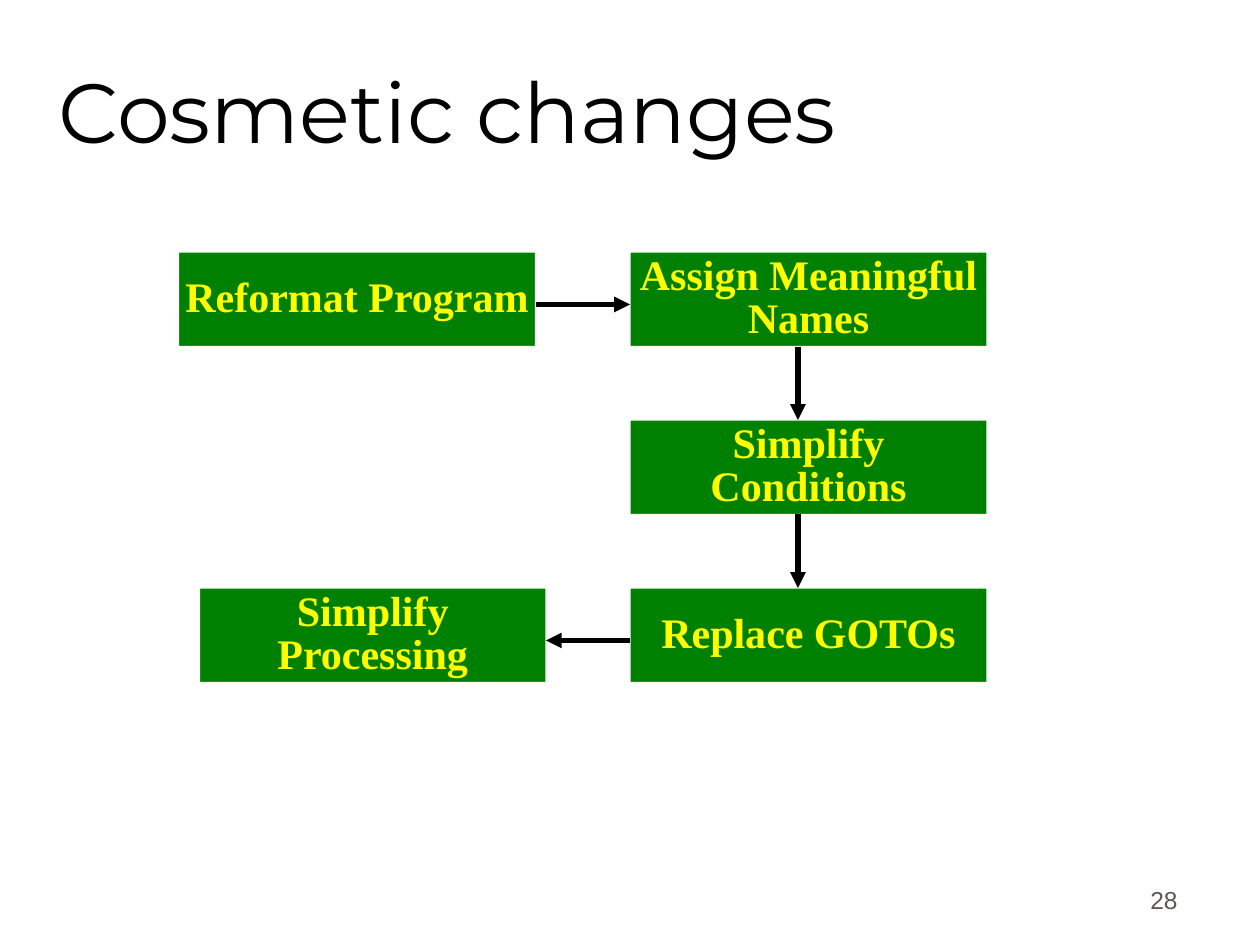
from pptx import Presentation
from pptx.dml.color import RGBColor
from pptx.enum.shapes import MSO_CONNECTOR, MSO_SHAPE
from pptx.enum.text import MSO_ANCHOR, PP_ALIGN
from pptx.oxml.ns import qn
from pptx.util import Pt
from lxml import etree

BLACK = RGBColor(0x00, 0x00, 0x00)
WHITE = RGBColor(0xFF, 0xFF, 0xFF)
GREEN = RGBColor(0x00, 0x80, 0x00)
YELLOW = RGBColor(0xFF, 0xFF, 0x00)
GREY = RGBColor(0x5E, 0x57, 0x4E)


def write(box, text, font, size, color, align, anchor, before, inset, bold=False):
    frame = box.text_frame
    frame.word_wrap = True
    frame.vertical_anchor = anchor
    frame.margin_left = frame.margin_right = Pt(inset)
    frame.margin_top = frame.margin_bottom = Pt(3.6)
    para = frame.paragraphs[0]
    para.text = text
    para.alignment = align
    para.space_before = Pt(before)
    for span in para.runs:
        span.font.name = font
        span.font.size = Pt(size)
        span.font.bold = bold
        span.font.color.rgb = color
    return para


deck = Presentation()
deck.slide_width, deck.slide_height = Pt(720), Pt(540)
page = deck.slides.add_slide(deck.slide_layouts[6])

# Title
title = page.shapes.add_textbox(Pt(32), Pt(18), Pt(612), Pt(90))
write(title, "Cosmetic changes", "Montserrat", 48, BLACK,
      PP_ALIGN.LEFT, MSO_ANCHOR.MIDDLE, 10.9, 1.5)

# Steps: three rows, with the main column on the right
STEP_HEIGHT = 54
RIGHT = 360
rows = [144 + 96 * row for row in range(3)]
steps = [
    ("Reformat Program", 102, rows[0], 204),
    ("Assign Meaningful\vNames", RIGHT, rows[0], 204),
    ("Simplify Conditions", RIGHT, rows[1], 204),
    ("Replace GOTOs", RIGHT, rows[2], 204),
    ("Simplify Processing", 114, rows[2], 198),
]
for text, left, top, width in steps:
    step = page.shapes.add_shape(MSO_SHAPE.ROUNDED_RECTANGLE, Pt(left), Pt(top),
                                 Pt(width), Pt(STEP_HEIGHT))
    step.adjustments[0] = 0.002
    step.shadow.inherit = False
    step.fill.solid()
    step.fill.fore_color.rgb = GREEN
    step.line.color.rgb = WHITE
    step.line.width = Pt(0.75)
    para = write(step, text, "Times New Roman", 24, YELLOW,
                 PP_ALIGN.CENTER, MSO_ANCHOR.MIDDLE, 5.5, 1.5, bold=True)
    para.line_spacing = 0.85

# Arrows from step to step
DOWN = 456
arrows = [
    (306, rows[0] + 30, RIGHT, rows[0] + 30),
    (DOWN, rows[0] + STEP_HEIGHT, DOWN, rows[1]),
    (DOWN, rows[1] + STEP_HEIGHT, DOWN, rows[2]),
    (RIGHT, rows[2] + 30, 312, rows[2] + 30),
]
for ends in arrows:
    arrow = page.shapes.add_connector(MSO_CONNECTOR.STRAIGHT, *map(Pt, ends))
    arrow.line.color.rgb = BLACK
    arrow.line.width = Pt(3)
    etree.SubElement(arrow.line._get_or_add_ln(), qn("a:tailEnd"), type="triangle")
    etree.SubElement(arrow._element.spPr, qn("a:effectLst"))

# Page number
number = page.shapes.add_textbox(Pt(530), Pt(490), Pt(150), Pt(36))
write(number, "28", "Arial", 14, GREY, PP_ALIGN.RIGHT, MSO_ANCHOR.BOTTOM, 8.8, 7.2)

deck.save("out.pptx")
